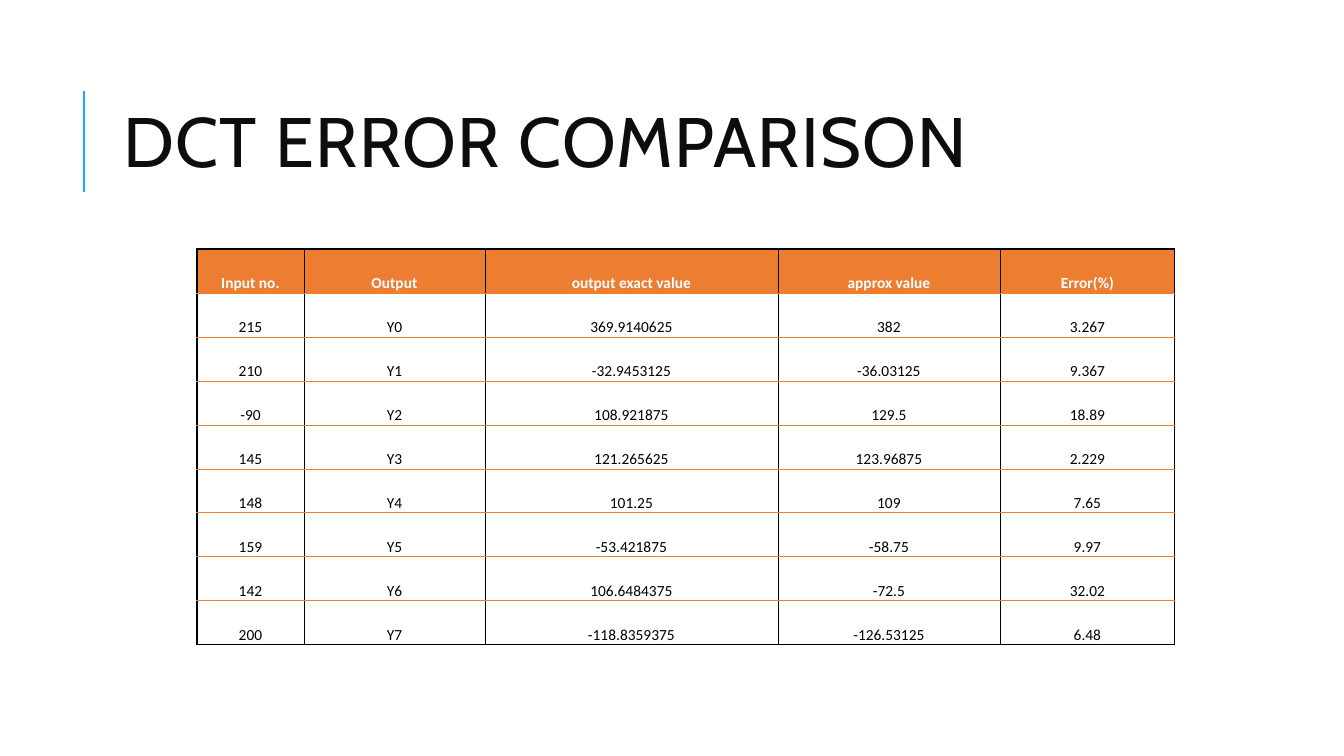
from lxml import etree
from pptx import Presentation
from pptx import util as u
from pptx.dml.color import RGBColor
from pptx.enum import shapes, text
from pptx.oxml.ns import qn

PX = 9071.43
COLORS = {"ink": "0D0D0D", "accent": "1CADE4", "orange": "ED7D31",
          "black": "000000", "white": "FFFFFF"}
HEADERS = ["Input no.", "Output", "output exact value", "approx value", "Error(%)"]
ROWS = [
    ["215", "Y0", "369.9140625", "382", "3.267"],
    ["210", "Y1", "-32.9453125", "-36.03125", "9.367"],
    ["-90", "Y2", "108.921875", "129.5", "18.89"],
    ["145", "Y3", "121.265625", "123.96875", "2.229"],
    ["148", "Y4", "101.25", "109", "7.65"],
    ["159", "Y5", "-53.421875", "-58.75", "9.97"],
    ["142", "Y6", "106.6484375", "-72.5", "32.02"],
    ["200", "Y7", "-118.8359375", "-126.53125", "6.48"],
]
COL_WIDTHS = [107, 181, 293, 222, 175]
ROW_HEIGHT = 44


def px(*values):
    return [u.Emu(round(v * PX)) for v in values]


def rgb(name):
    return RGBColor.from_string(COLORS[name])


prs = Presentation()
prs.slide_width, prs.slide_height = px(1344, 756)
s = prs.slides.add_slide(prs.slide_layouts[5])

rule = s.shapes.add_connector(shapes.MSO_CONNECTOR.STRAIGHT, *px(84, 192, 84, 91))
rule.line.color.rgb = rgb("accent")
rule.line.width = u.Pt(1.5)
etree.SubElement(rule._element.spPr, qn("a:effectLst"))

title = s.shapes.title
title.left, title.top, title.width, title.height = px(113, 65, 1072, 165)
tf = title.text_frame
tf.text = "DCT ERROR COMPARISON"
tf.word_wrap = True
tf.auto_size = text.MSO_AUTO_SIZE.NONE
tf.vertical_anchor = text.MSO_ANCHOR.MIDDLE
p = tf.paragraphs[0]
p.alignment = text.PP_ALIGN.LEFT
p.line_spacing = 0.8
p.font.name = "Cabin"
p.font.size = u.Pt(50)
p.font.color.rgb = rgb("ink")
p.runs[0].font._element.set("spc", "100")

data = [HEADERS] + ROWS
last_row, last_col = len(data) - 1, len(HEADERS) - 1
frame = s.shapes.add_table(len(data), len(HEADERS), *px(
    197, 249, sum(COL_WIDTHS), ROW_HEIGHT * len(data)))
table = frame.table
for column, width in zip(table.columns, COL_WIDTHS):
    column.width, = px(width)
for row in table.rows:
    row.height, = px(ROW_HEIGHT)

for i, values in enumerate(data):
    for j, value in enumerate(values):
        cell = table.cell(i, j)
        cell.text = value
        cell.vertical_anchor = text.MSO_ANCHOR.BOTTOM
        cell.margin_left, cell.margin_right, cell.margin_top, cell.margin_bottom = px(1, 1, 1, 0)
        p = cell.text_frame.paragraphs[0]
        p.alignment = text.PP_ALIGN.CENTER
        p.font.name = "Calibri"
        p.font.size = u.Pt(11)
        p.font.bold = i == 0
        p.font.color.rgb = rgb("white" if i == 0 else "black")
        borders = [("L", "black", j == 0), ("R", "black", j == last_col),
                   ("T", "black" if i == 0 else "orange", i == 0),
                   ("B", "black" if i == last_row else "orange", i == last_row)]
        tc_pr = cell._tc.get_or_add_tcPr()
        for side, color, outer in borders:
            ln = etree.SubElement(tc_pr, qn(f"a:ln{side}"), w=str(u.Pt(1 if outer else 0.5)))
            fill = etree.SubElement(ln, qn("a:solidFill"))
            etree.SubElement(fill, qn("a:srgbClr"), val=COLORS[color])
        if i == 0:
            cell.fill.solid()
            cell.fill.fore_color.rgb = rgb("orange")
        else:
            cell.fill.background()

prs.save("out.pptx")
